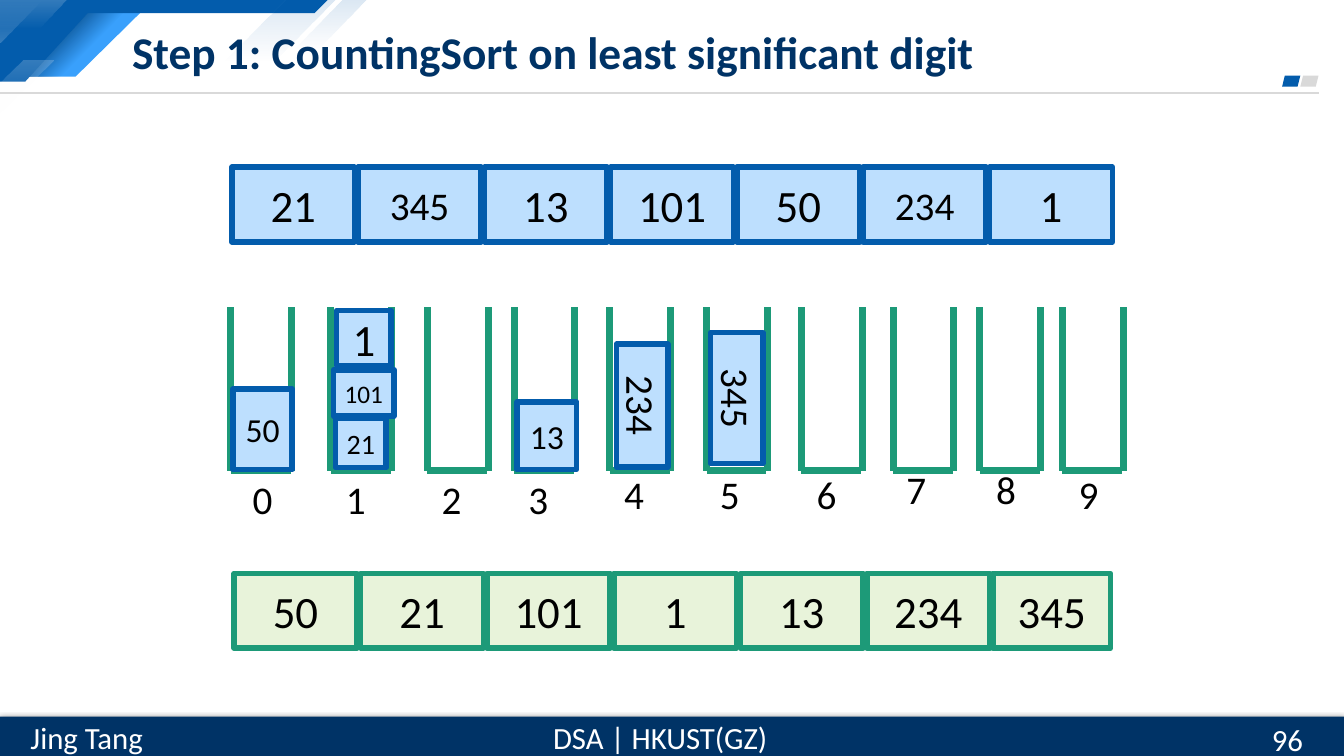
"""Build the radix sort slide: counting sort on the least significant digit."""
from dataclasses import dataclass

import lxml.etree
import pptx
import pptx.dml.color
import pptx.enum.shapes
import pptx.enum.text
import pptx.oxml.ns
import pptx.util

Pt = pptx.util.Pt
qn = pptx.oxml.ns.qn
SHAPE = pptx.enum.shapes.MSO_SHAPE
ALIGN = pptx.enum.text.PP_ALIGN
ANCHOR = pptx.enum.text.MSO_ANCHOR


@dataclass(frozen=True)
class Theme:
    font: str = "Calibri"
    navy: str = "003366"
    deep: str = "024581"
    blue: str = "035CAC"
    sky: str = "39A0FC"
    pale_blue: str = "BDDFFE"
    green: str = "1D9A78"
    pale_green: str = "E8F3DA"
    gray: str = "D9D9D9"
    white: str = "FFFFFF"
    black: str = "000000"
    title: float = 32.4
    number: int = 32
    label: int = 28
    medium: int = 24
    small: int = 20
    tiny: int = 18
    footer: int = 22


def rgb(color):
    return pptx.dml.color.RGBColor.from_string(color)


class SlideBuilder:
    def __init__(self, slide, theme):
        self.s = slide
        self.t = theme

    def set_text(self, tf, text, size, color, align=ALIGN.CENTER, bold=False):
        tf.vertical_anchor = ANCHOR.MIDDLE
        p = tf.paragraphs[0]
        p.text = text
        p.alignment = align
        p.font.name = self.t.font
        p.font.size = Pt(size)
        p.font.bold = bold
        p.font.color.rgb = rgb(color)

    def solid(self, sp, color):
        sp.fill.solid()
        sp.fill.fore_color.rgb = rgb(color)
        sp.line.fill.background()
        sp.shadow.inherit = False
        return sp

    def fade(self, sp, color, alpha, angle=270, start=0, end=1):
        sp.fill.gradient()
        sp.fill.gradient_angle = angle
        for stop, position in zip(sp.fill.gradient_stops, (start, end)):
            stop.position = position
            stop.color.rgb = rgb(color)
        colors = sp._element.spPr.iter(qn("a:srgbClr"))
        for clr, value in zip(colors, (alpha, 0)):
            lxml.etree.SubElement(clr, qn("a:alpha"), val=str(value * 1000))
        sp.line.fill.background()
        sp.shadow.inherit = False

    def preset(self, kind, x, y, w, h):
        return self.s.shapes.add_shape(kind, Pt(x), Pt(y), Pt(w), Pt(h))

    def polygon(self, *points):
        (x, y), *rest = [(Pt(px), Pt(py)) for px, py in points]
        builder = self.s.shapes.build_freeform(x, y, scale=1.0)
        builder.add_line_segments(rest, close=True)
        return builder.convert_to_shape()

    def line(self, x1, y1, x2, y2, color, width):
        c = self.s.shapes.add_connector(
            pptx.enum.shapes.MSO_CONNECTOR.STRAIGHT, Pt(x1), Pt(y1), Pt(x2), Pt(y2))
        c.line.color.rgb = rgb(color)
        c.line.width = Pt(width)
        lxml.etree.SubElement(c._element.spPr, qn("a:effectLst"))

    def text(self, text, x, y, w, h, size, color, align=ALIGN.CENTER, wrap=True):
        tb = self.s.shapes.add_textbox(Pt(x), Pt(y), Pt(w), Pt(h))
        tb.text_frame.word_wrap = wrap
        self.set_text(tb.text_frame, text, size, color, align)

    def cell(self, text, x, y, w, h, size, fill, line, rotation=0):
        sp = self.solid(self.preset(SHAPE.RECTANGLE, x, y, w, h), fill)
        sp.line.color.rgb = rgb(line)
        sp.line.width = Pt(4)
        sp.rotation = rotation
        self.set_text(sp.text_frame, text, size, self.t.black)

    def row(self, values, x, y, pitch, fill, line, small=()):
        for i, value in enumerate(values):
            size = self.t.label if value in small else self.t.number
            self.cell(value, x + i * pitch, y, 87.8, 53.3, size, fill, line)

    def bucket(self, digit, x, label_center, label_top):
        top, bottom, width = 219.6, 336.2, 43.5
        for side in (x, x + width):
            self.line(side, top, side, bottom, self.t.green, 5)
        self.line(x, bottom, x + width - 0.7, bottom, self.t.green, 5)
        self.text(digit, label_center - 14.4, label_top, 28.8, 41,
                  self.t.label, self.t.black, wrap=False)

    def title(self, text):
        sp = self.s.shapes.title
        sp.left, sp.top, sp.width, sp.height = Pt(87.1), Pt(12.2), Pt(735), Pt(49.7)
        self.set_text(sp.text_frame, text, self.t.title, self.t.navy, ALIGN.LEFT, True)
        self.s.shapes._spTree.append(sp._element)

    def banner(self):
        t = self.t
        ribbon = ((60.5, 5), (104.4, 5), (54, 54.7), (11.5, 54.7))
        self.solid(self.polygon(*ribbon), t.sky)
        self.fade(self.polygon(*ribbon), t.deep, 100, 315, 0.29, 0.57)
        self.solid(self.polygon((0, 0), (234, 0), (224.6, 9.4), (62.6, 9.4),
                                (18, 58.3), (0, 58.3)), t.blue)
        corner = self.preset(SHAPE.RIGHT_TRIANGLE, 0, 0, 30.2, 30.2)
        corner._element.spPr.find(qn("a:xfrm")).set("flipV", "1")
        self.fade(corner, t.white, 20)
        for color, alpha, points in (
            (t.white, 20, ((0, 0), (47.5, 0), (28, 20.2), (0, 20.2))),
            (t.blue, 15, ((204.5, 0), (239.8, 0), (195.8, 43.9), (159.8, 43.9))),
            (t.blue, 15, ((244.8, 0), (262, 0), (226.8, 35.3), (209.5, 35.3))),
            (t.white, 20, ((16.6, 43.2), (38.2, 43.2), (0, 81.4), (0, 59.8))),
        ):
            self.fade(self.polygon(*points), color, alpha)
        self.line(0, 66.4, 942.5, 66.4, t.gray, 1.5)
        for x, color in ((928.8, t.gray), (915.8, t.blue)):
            self.solid(self.preset(SHAPE.PARALLELOGRAM, x, 54, 13, 7.9), color)

    def footer(self, author, course, number):
        t = self.t
        bar = self.solid(self.preset(SHAPE.RECTANGLE, 0, 511.9, 960, 28.1), t.navy)
        shadow = lxml.etree.SubElement(
            bar._element.spPr.find(qn("a:effectLst")), qn("a:outerShdw"),
            blurRad=str(Pt(4.5)), dist=str(Pt(1.5)), dir="5400000")
        clr = lxml.etree.SubElement(shadow, qn("a:srgbClr"), val=t.black)
        lxml.etree.SubElement(clr, qn("a:alpha"), val="63000")
        self.text(course, 385.9, 509.8, 171.4, 33.8, t.footer, t.white)
        self.text(author, 11.5, 509.8, 100.8, 33.8, t.footer, t.white)
        self.text(number, 901.4, 513.4, 58.3, 28.8, t.footer, t.white, ALIGN.LEFT)


def main():
    prs = pptx.Presentation()
    prs.slide_width, prs.slide_height = Pt(960), Pt(540)
    t = Theme()
    b = SlideBuilder(prs.slides.add_slide(prs.slide_layouts[5]), t)
    b.banner()
    b.footer("Jing Tang", "DSA | HKUST(GZ)", "96")
    b.title("Step 1: CountingSort on least significant digit")

    b.row(("21", "345", "13", "101", "50", "234", "1"), 165.6, 119.5, 90.2,
          t.pale_blue, t.blue, small=("345", "234"))

    buckets = (
        (164.9, 187.5, 336.2), (236.2, 254.2, 336.2), (305.3, 322.6, 336.2),
        (367.2, 384.5, 336.2), (435.6, 452.9, 332), (504.7, 521.3, 332),
        (572.4, 590.4, 332), (637.9, 654.5, 329), (699.8, 718.6, 329),
        (758.9, 777.6, 332),
    )
    for digit, place in enumerate(buckets):
        b.bucket(str(digit), *place)

    for value, x, y, w, h, size, rotation in (
        ("345", 479.5, 265.7, 93.6, 37.4, t.label, 90),
        ("50", 166.3, 277.9, 42.5, 57.6, t.medium, 0),
        ("13", 369.4, 287.3, 42.5, 48.2, t.medium, 0),
        ("21", 239.8, 298.8, 36, 35.3, t.small, 0),
        ("101", 238.3, 264.2, 43.2, 33.1, t.tiny, 0),
        ("1", 240.5, 221.8, 38.9, 39.6, t.number, 0),
        ("234", 414.7, 271.4, 87.8, 36.7, t.label, 90),
    ):
        b.cell(value, x, y, w, h, size, t.pale_blue, t.blue, rotation)

    b.row(("50", "21", "101", "1", "13", "234"), 167.2, 409.7, 90.4,
          t.pale_green, t.green)
    b.cell("345", 709.2, 409.7, 84.2, 53.3, t.number, t.pale_green, t.green)
    prs.save("out.pptx")


if __name__ == "__main__":
    main()
